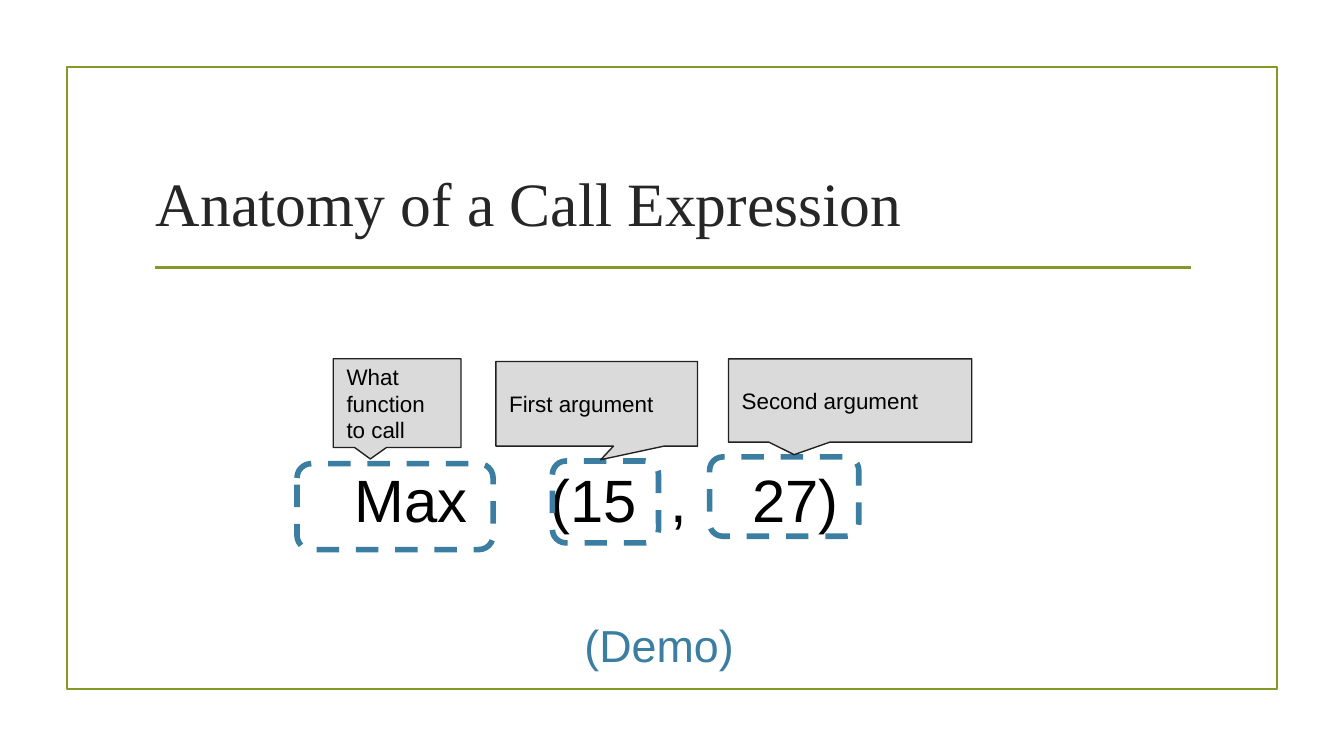
from dataclasses import dataclass

from lxml import etree
from pptx import Presentation
from pptx.dml.color import RGBColor
from pptx.enum.dml import MSO_LINE
from pptx.enum.shapes import MSO_CONNECTOR, MSO_SHAPE
from pptx.enum.text import MSO_ANCHOR as ANCHOR
from pptx.oxml.ns import qn
from pptx.util import Inches, Pt

COLORS = {
    "olive": "83992A",
    "blue": "3B7EA1",
    "gray": "DADADA",
    "outline": "212121",
    "title": "262626",
    "black": "000000",
}
Box = tuple[float, float, float, float]


@dataclass
class Part:
    label: str
    callout: Box
    tip: tuple[float, float]
    frame: Box


PARTS = [
    Part("What function to call", (2.48, 2.67, 0.95, 0.66), (-0.21, 0.63), (2.21, 3.45, 1.46, 0.64)),
    Part("First argument", (3.69, 2.69, 1.5, 0.63), (0.02, 0.66), (4.11, 3.43, 0.79, 0.61)),
    Part("Second argument", (5.42, 2.67, 1.81, 0.62), (-0.23, 0.65), (5.28, 3.4, 1.11, 0.59)),
]
EXPRESSION = ["Max", "(15", ",", "27)"]
TAB_STOPS = [1.41, 2.87, 3.76, 4.37]


def rgb(name: str) -> RGBColor:
    return RGBColor.from_string(COLORS[name])


def write(sp, text: str, *, size: float, color: str = "black", font: str = "Arial",
          anchor=ANCHOR.TOP, tabs: tuple | list = ()) -> None:
    tf = sp.text_frame
    tf.word_wrap = True
    tf.vertical_anchor = anchor
    tf.margin_left = tf.margin_right = tf.margin_top = tf.margin_bottom = Inches(0.1)
    p = tf.paragraphs[0]
    pPr = p._p.get_or_add_pPr()
    pPr.set("algn", "l")
    if tabs:
        tab_list = etree.SubElement(pPr, qn("a:tabLst"))
        for pos in tabs:
            etree.SubElement(tab_list, qn("a:tab"), pos=str(Inches(pos)), algn="l")
    r = p.add_run()
    r.text = text
    r.font.size = Pt(size)
    r.font.name = font
    r.font.color.rgb = rgb(color)


def add_shape(s, kind, box: Box, *, line: str, width: float, fill: str | None = None):
    sp = s.shapes.add_shape(kind, *map(Inches, box))
    sp.shadow.inherit = False
    if fill:
        sp.fill.solid()
        sp.fill.fore_color.rgb = rgb(fill)
    else:
        sp.fill.background()
    sp.line.color.rgb = rgb(line)
    sp.line.width = Pt(width)
    return sp


def add_text(s, box: Box, text: str, **fmt) -> None:
    write(s.shapes.add_textbox(*map(Inches, box)), text, **fmt)


def add_rule(s, x1: float, x2: float, y: float) -> None:
    ln = s.shapes.add_connector(MSO_CONNECTOR.STRAIGHT, *map(Inches, (x1, y, x2, y)))
    ln.line.color.rgb = rgb("olive")
    ln.line.width = Pt(1.25)
    etree.SubElement(ln._element.spPr, qn("a:effectLst"))


def add_part(s, part: Part) -> None:
    frame = add_shape(s, MSO_SHAPE.ROUNDED_RECTANGLE, part.frame, line="blue", width=3)
    frame.line.dash_style = MSO_LINE.DASH
    callout = add_shape(s, MSO_SHAPE.ROUNDED_RECTANGULAR_CALLOUT, part.callout,
                        line="outline", width=0.75, fill="gray")
    for i, value in enumerate((*part.tip, 0)):
        callout.adjustments[i] = value
    write(callout, part.label, size=12, anchor=ANCHOR.MIDDLE)


def main() -> None:
    prs = Presentation()
    prs.slide_width = Inches(10)
    prs.slide_height = prs.slide_width * 9 // 16
    s = prs.slides.add_slide(prs.slide_layouts[5])

    add_shape(s, MSO_SHAPE.RECTANGLE, (0.5, 0.5, 9, 4.63), line="olive", width=1.25)
    add_rule(s, 1.15, 8.86, 1.99)

    title = s.shapes.title
    title.left, title.top, title.width, title.height = map(Inches, (1.06, 0.81, 7.87, 1.07))
    write(title, "Anatomy of a Call Expression", size=33, color="title",
          font="Times New Roman", anchor=ANCHOR.BOTTOM)

    add_text(s, (1.13, 3.34, 6.62, 1.32), "".join(f"\t{token}" for token in EXPRESSION),
             size=32, tabs=TAB_STOPS)
    for part in PARTS:
        add_part(s, part)
    add_text(s, (4.25, 4.5, 1.5, 0.6), "(Demo)", size=24, color="blue")

    prs.save("out.pptx")


if __name__ == "__main__":
    main()
